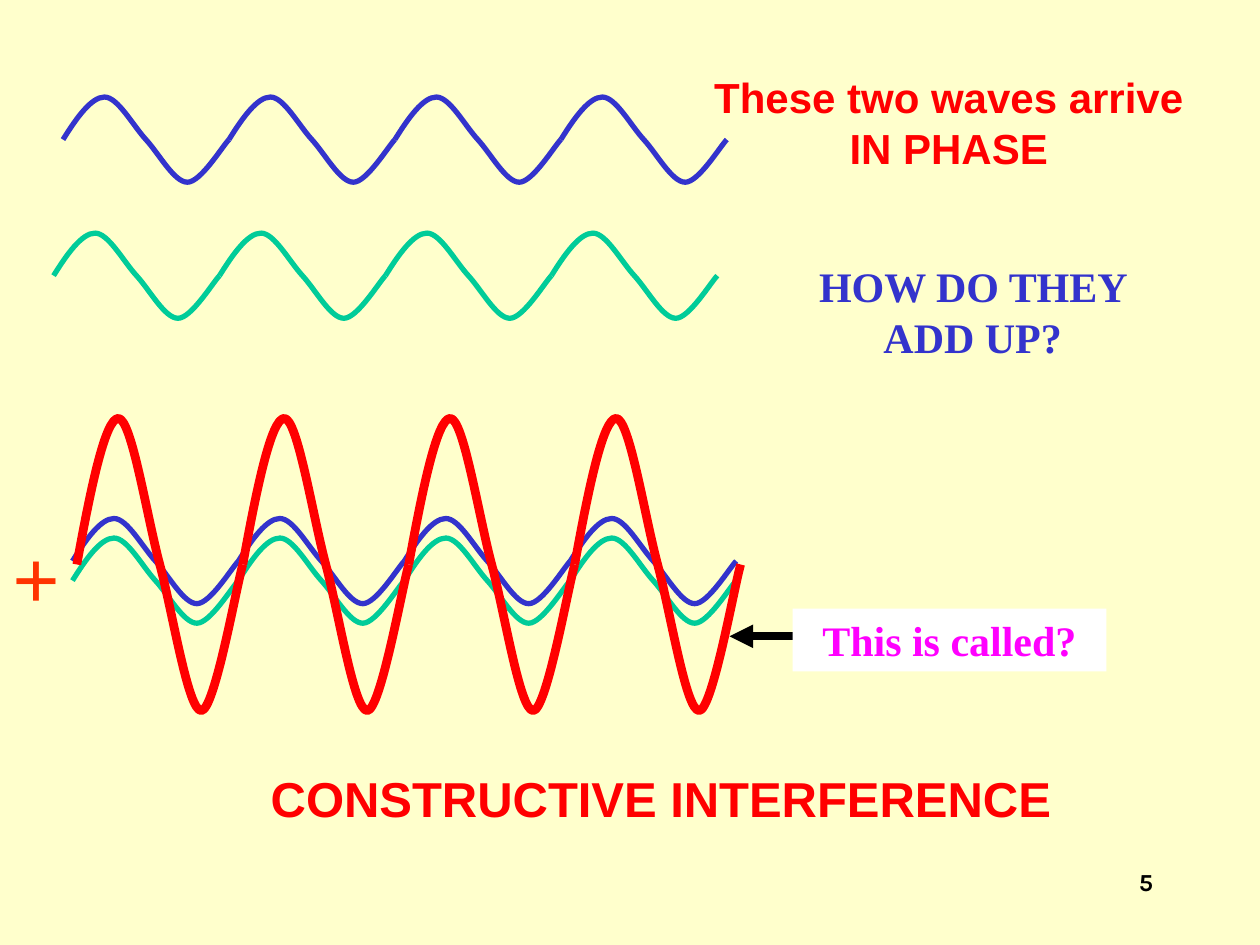
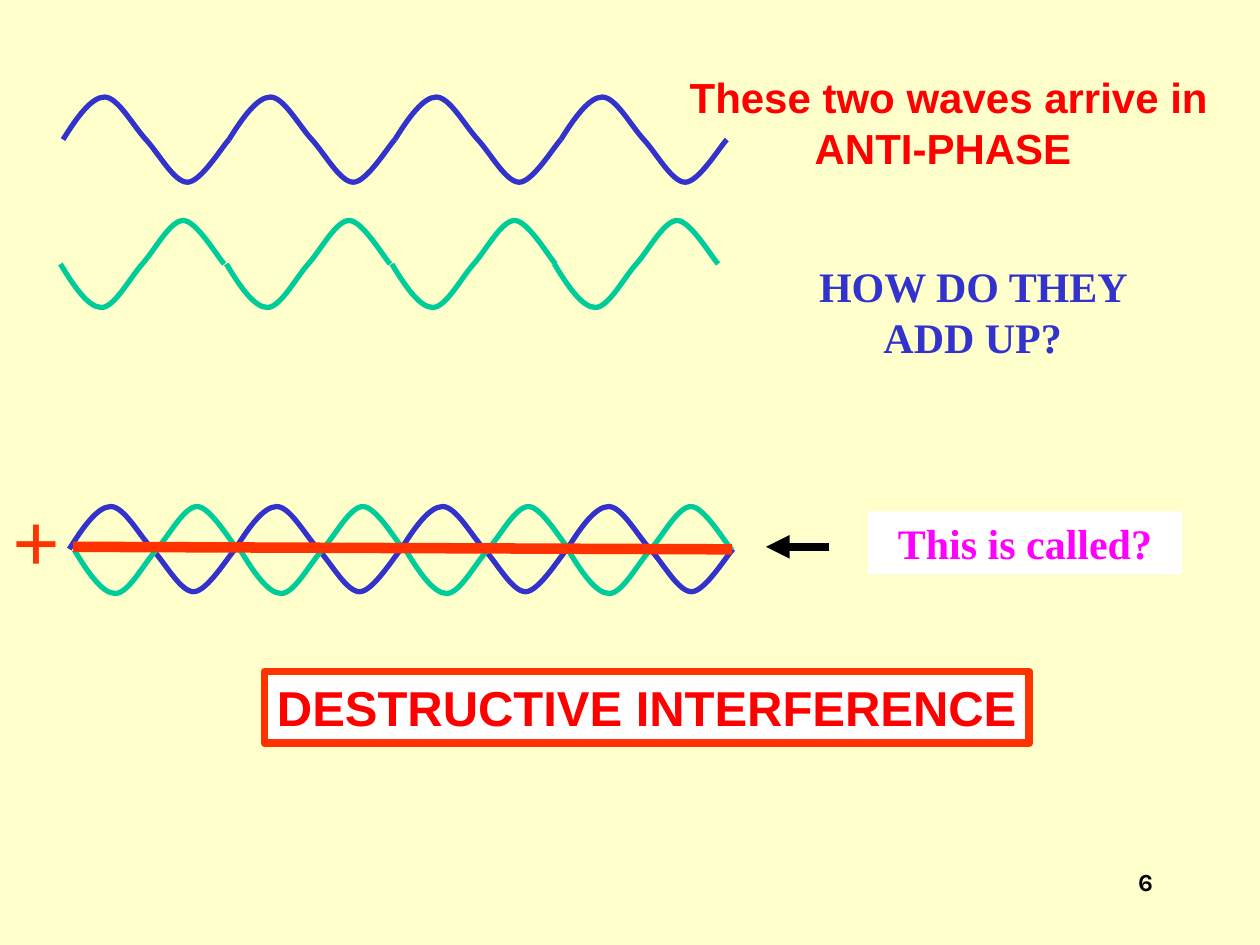
from lxml.etree import SubElement as Sub
from pptx import Presentation
from pptx.dml.color import RGBColor
from pptx.enum.shapes import MSO_CONNECTOR as Link, MSO_SHAPE as Preset
from pptx.enum.text import PP_ALIGN as Align
from pptx.oxml.ns import qn
from pptx.util import Inches, Pt

# Grid of 100 columns by 75 rows; every box is (column, row, columns, rows)
COLS, ROWS = 100, 75
UNIT = Inches(0.1)

CREAM, WHITE, BLACK = "FFFFCC", "FFFFFF", "000000"
BLUE, GREEN, RED = "3333CC", "00CC99", "FF0000"
ORANGE, PINK = "FF3300", "FF00FF"
SANS, SERIF, FOOT = "Arial", "Times New Roman", "Karla"

# One cycle as shares of its box: a start, then three points per curve
CYCLE = [(0, 0.5),
         (0.08, 0.25), (0.17, 0), (0.25, 0),
         (0.33, 0), (0.42, 0.33), (0.5, 0.5),
         (0.58, 0.67), (0.67, 1), (0.75, 1),
         (0.83, 1), (0.96, 0.58), (1, 0.5)]
PHASE = (0, 13.17, 26.34, 39.51)
ANTI = (0, 13.17, 26.3, 39.2)


def color(code):
    return RGBColor.from_string(code)


def units(*sizes):
    return [round(size * UNIT) for size in sizes]


def stroke(line, code, width):
    line.color.rgb = color(code)
    line.width = Pt(width)


def write(shape, lines, size, font, code, align=Align.LEFT, wrap=True):
    frame = shape.text_frame
    frame.word_wrap = wrap
    frame.text = "\n".join(lines)
    for para in frame.paragraphs:
        para.alignment = align
        para.font.size = Pt(size)
        para.font.name = font
        para.font.bold = True
        para.font.color.rgb = color(code)


def label(slide, box, lines, *style, **more):
    write(slide.shapes.add_textbox(*units(*box)), lines, *style, **more)


def panel(slide, box, text, *style, edge=None, **more):
    """White box with text and, if edge is given, a frame."""
    shape = slide.shapes.add_shape(Preset.RECTANGLE, *units(*box))
    shape.shadow.inherit = False
    shape.fill.solid()
    shape.fill.fore_color.rgb = color(WHITE)
    if edge:
        stroke(shape.line, edge, 4.5)
    else:
        shape.line.fill.background()
    shape.text_frame.vertical_anchor = 1
    write(shape, [text], *style, **more)


def rule(slide, ends, code, width, head=False):
    line = slide.shapes.add_connector(Link.STRAIGHT, *units(*ends))
    stroke(line.line, code, width)
    if head:
        Sub(line.line._get_or_add_ln(), qn("a:tailEnd"), type="triangle")
    Sub(line._element.spPr, qn("a:effectLst"))


def bend(shape):
    """Turn each three straight segments into one Bezier curve."""
    steps = list(shape._element.iter(qn("a:lnTo")))
    for first in range(0, len(steps), 3):
        curve, *rest = steps[first:first + 3]
        cubic = Sub(curve.getparent(), qn("a:cubicBezTo"))
        for step in (curve, *rest):
            cubic.append(step[0])
            step.getparent().remove(step)


def wave(slide, box, code, width=3, anti=False):
    """Four cycles; the box is that of the first one."""
    left, top, wide, high = box
    group = slide.shapes.add_group_shape()
    for shift in ANTI if anti else PHASE:
        points = [units(left + shift + x * wide,
                        top + (1 - y if anti else y) * high)
                  for x, y in CYCLE]
        pen = group.shapes.build_freeform(*points[0])
        pen.add_line_segments(points[1:], close=False)
        shape = pen.convert_to_shape()
        shape.shadow.inherit = False
        shape.fill.background()
        stroke(shape.line, code, width)
        bend(shape)


def plus(slide, top):
    label(slide, (0, top, 5.8, 9), ["+"], 48, SERIF, ORANGE)


def called(slide, left, top):
    panel(slide, (left, top, 24.9, 5), "This is called?", 24, SERIF, PINK,
          align=Align.CENTER)


def start(deck, claim, number):
    """New slide with the parts that all slides share."""
    slide = deck.slides.add_slide(deck.slide_layouts[6])
    wave(slide, (5, 7.7, 13.17, 6.76), BLUE)
    label(slide, (53.3, 5.2, 44, 9), claim, 24, SANS, RED, align=Align.CENTER)
    label(slide, (60.5, 20.2, 33.4, 9), ["HOW DO THEY ADD UP?"], 24, SERIF,
          BLUE, align=Align.CENTER)
    label(slide, (71.7, 68.3, 20.8, 5), [str(number)], 14, FOOT, BLACK,
          align=Align.RIGHT)
    return slide


def build_up(deck):
    slide = start(deck, ["These two waves arrive", "IN PHASE"], 5)
    wave(slide, (4.25, 18.5, 13.17, 6.76), GREEN)
    plus(slide, 41.2)
    wave(slide, (5.75, 41.15, 13.17, 6.76), BLUE)
    wave(slide, (5.75, 42.7, 13.17, 6.76), GREEN)
    wave(slide, (6.1, 33.2, 13.17, 23.2), RED, 5)
    rule(slide, (62.9, 50.5, 57.9, 50.5), BLACK, 4.5, head=True)
    called(slide, 62.9, 48.3)
    label(slide, (20.5, 60.5, 63.9, 5.7), ["CONSTRUCTIVE INTERFERENCE"],
          28, SANS, RED, wrap=False)


def cancel(deck):
    slide = start(deck, ["These two waves arrive in ANTI-PHASE "], 6)
    wave(slide, (4.8, 17.5, 13, 6.9), GREEN, anti=True)
    wave(slide, (5.5, 40.2, 13.17, 6.76), BLUE)
    wave(slide, (5.9, 40.2, 13, 6.9), GREEN, anti=True)
    rule(slide, (5.8, 43.4, 58.1, 43.6), ORANGE, 6)
    panel(slide, (21, 53.3, 60.7, 5.7), "DESTRUCTIVE INTERFERENCE", 28, SANS,
          RED, edge=ORANGE, wrap=False)
    rule(slide, (65.8, 43.4, 60.8, 43.4), BLACK, 4.5, head=True)
    called(slide, 68.9, 40.6)
    plus(slide, 38.3)


def main():
    deck = Presentation()
    deck.slide_width, deck.slide_height = units(COLS, ROWS)
    back = deck.slide_master.background.fill
    back.solid()
    back.fore_color.rgb = color(CREAM)
    build_up(deck)
    cancel(deck)
    deck.save("out.pptx")


if __name__ == "__main__":
    main()
